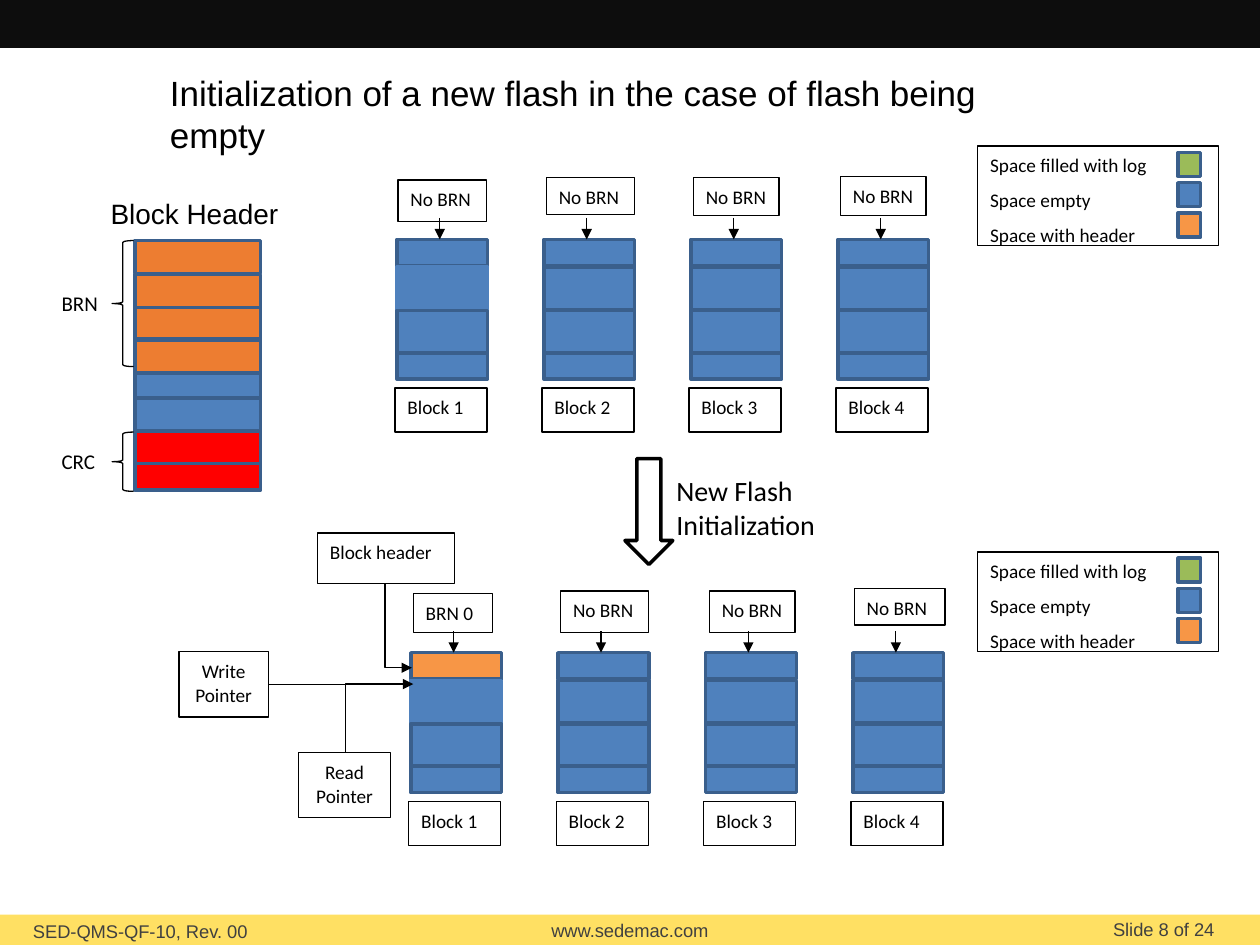
"""Builds the flash initialization slide on a grid of 100 columns by 75 rows."""
from typing import NamedTuple

from lxml.etree import SubElement
from pptx import Presentation
from pptx.dml.color import RGBColor
from pptx.enum.shapes import MSO_CONNECTOR as Connector, MSO_SHAPE as Preset
from pptx.enum.text import MSO_ANCHOR as Anchor, PP_ALIGN as Align
from pptx.oxml.ns import qn
from pptx.util import Inches, Pt

WIDTH, HEIGHT = Inches(10), Inches(7.5)
COLUMN, ROW = WIDTH / 100, HEIGHT / 75
COLORS = {
    "black": "000000", "white": "FFFFFF", "bar": "0D0D0D", "footer": "FFE063",
    "footer_text": "404040", "empty": "4F81BD", "edge": "3A5F8C",
    "header": "F79646", "log": "9BBB59", "brn": "ED7D31", "crc": "FF0000",
}


class Box(NamedTuple):
    """A rectangle in columns and rows."""
    left: float
    top: float
    width: float
    height: float

    def inside(self, left, top, width, height):
        """Return a box placed relative to this one."""
        return Box(self.left + left, self.top + top, width, height)

    def lengths(self):
        """Return the box in slide units."""
        return (round(self.left * COLUMN), round(self.top * ROW),
                round(self.width * COLUMN), round(self.height * ROW))


def color(name):
    """Return a named colour."""
    return RGBColor.from_string(COLORS[name])


def add_text(shape, lines, size=11, font="Calibri", ink="black", align=Align.LEFT,
             spacing=None, after=0, inset=True, wrap=True, anchor=Anchor.TOP):
    """Write one paragraph per line into a shape."""
    frame = shape.text_frame
    frame.word_wrap, frame.vertical_anchor = wrap, anchor
    frame.margin_left = frame.margin_right = Inches(0.1 if inset else 0)
    frame.margin_top = frame.margin_bottom = Inches(0.05 if inset else 0)
    for index, line in enumerate(lines):
        paragraph = frame.add_paragraph() if index else frame.paragraphs[0]
        paragraph.alignment, paragraph.line_spacing = align, spacing
        paragraph.space_after = Pt(after)
        run = paragraph.add_run()
        run.text = line
        run.font.size, run.font.name = Pt(size), font
        run.font.color.rgb = color(ink)


def add_label(slide, box, text, **style):
    """Add a text box."""
    add_text(slide.shapes.add_textbox(*box.lengths()), [text], **style)


def add_preset(slide, box, fill=None, line=None, weight=2, preset=Preset.RECTANGLE):
    """Add a preset shape with its fill and outline."""
    shape = slide.shapes.add_shape(preset, *box.lengths())
    shape.shadow.inherit = False
    if fill:
        shape.fill.solid()
        shape.fill.fore_color.rgb = color(fill)
    else:
        shape.fill.background()
    if line:
        shape.line.color.rgb = color(line)
        shape.line.width = Pt(weight)
    else:
        shape.line.fill.background()
    return shape


def add_card(slide, box, *lines, align=Align.LEFT, after=8):
    """Add a white card with a thin black outline."""
    card = add_preset(slide, box, "white", "black", 0.75)
    add_text(card, lines, align=align, spacing=1.06, after=after)
    return card


def add_line(slide, start, end, arrow=True, bend=None):
    """Add a straight or bent connector between two grid points."""
    kind = Connector.STRAIGHT if bend is None else Connector.ELBOW
    points = [round(value * unit) for point in (start, end)
              for value, unit in zip(point, (COLUMN, ROW))]
    connector = slide.shapes.add_connector(kind, *points)
    connector.line.color.rgb = color("black")
    connector.line.width = Pt(0.75)
    properties = connector._element.spPr
    if arrow:
        SubElement(connector.line._get_or_add_ln(), qn("a:tailEnd"), type="triangle")
    SubElement(properties, qn("a:effectLst"))
    if bend is not None:
        guides = properties.find(qn("a:prstGeom")).get_or_add_avLst()
        SubElement(guides, qn("a:gd"), name="adj1", fmla=f"val {bend}")
    return connector


def draw_frame(slide, box):
    """Draw the top bar and the footer."""
    add_preset(slide, box.inside(0, 0, box.width, 3.8), "bar")
    style = dict(size=10.5, font="Arial", ink="footer_text")
    footer = add_preset(slide, box.inside(0, 72.6, box.width, 2.5), "footer")
    add_text(footer, ["www.sedemac.com"], align=Align.CENTER, anchor=Anchor.MIDDLE, **style)
    add_label(slide, box.inside(0, 73, 22.3, 2.1), "SED-QMS-QF-10, Rev. 00",
              align=Align.CENTER, inset=False, wrap=False, **style)
    add_label(slide, box.inside(71.7, 72.9, 24.7, 2.1), "Slide 8 of 24",
              align=Align.RIGHT, inset=False, wrap=False, **style)


def draw_bank(slide, box, tags, first_fill="empty"):
    """Draw four blocks with a tag above and a name below each."""
    pitch = (box.width - 7.2) / 3
    parts = ((0, 2.1), (2.2, 3.4), (5.65, 3.4), (9, 2.1))
    for index, (text, *place) in enumerate(tags):
        left = index * pitch
        add_card(slide, box.inside(left + place[0], *place[1:]), text)
        for part, (top, height) in enumerate(parts):
            fill = first_fill if (index, part) == (0, 0) else "empty"
            line = "empty" if (index, part) == (0, 1) else "edge"
            add_preset(slide, box.inside(left, top, 7.2, height), fill, line)
        add_card(slide, box.inside(left - 0.15, 11.8, 7.3, 3.5), f"Block {index + 1}")
        center = box.left + left + 3.4
        add_line(slide, (center, box.top - 1.7), (center, box.top))


def draw_legend(slide, box):
    """Draw the key of space colours."""
    add_card(slide, box, "Space filled with log", "Space empty", "Space with header", after=6)
    for index, fill in enumerate(("log", "empty", "header")):
        add_preset(slide, box.inside(15.9, 0.5 + 2.4 * index, 1.8, 1.9), fill, "edge")


def draw_block_header(slide, box):
    """Draw the block header layout with its braces."""
    add_label(slide, box.inside(3.9, 0, 17.2, 3.7), "Block Header", size=16, font="Arial")
    fills = ["brn"] * 4 + ["empty"] * 2 + ["crc"] * 2
    tops = (4, 6.7, 9.2, 11.9, 13.9, 16.5, 19.1, 21.2)
    for fill, top in reversed(list(zip(fills, tops))):
        add_preset(slide, box.inside(6.8, top, 10, 2.6), fill, "edge")
    for text, top, height, text_top in (("BRN", 4, 10, 7.5), ("CRC", 19.2, 4.7, 20)):
        add_preset(slide, box.inside(5, top, 1.7, height), None, "black", 0.75,
                   Preset.LEFT_BRACE)
        add_label(slide, box.inside(0, text_top, 5, 3), text, size=12)


def draw_transition(slide, box):
    """Draw the down arrow and its caption."""
    add_preset(slide, box.inside(0, 0, 3.8, box.height), "white", "black",
               preset=Preset.DOWN_ARROW)
    add_label(slide, box.inside(3.1, 0.7, 14, 5.7), "New Flash Initialization", size=16)


def draw_pointers(slide, box):
    """Draw the cards that point into the first block."""
    add_card(slide, box.inside(11, 0, 10.9, 4), "Block header")
    add_card(slide, box.inside(9.5, 17.4, 7.3, 5.2), "Read Pointer", align=Align.CENTER)
    write = add_card(slide, box.inside(0, 9.4, 7.1, 5.2), "Write Pointer", align=Align.CENTER)
    left, top = box.left, box.top
    add_line(slide, (left + 16.4, top + 4), (left + 18.5, top + 10.7), bend=-2200)
    add_line(slide, (left + 13.2, top + 17.4), (left + 18.6, top + 12), bend=800)
    joint = add_line(slide, (left + 7.1, top + 12), (left + 13.2, top + 12), arrow=False)
    joint.begin_connect(write, 3)


def main():
    """Build and save the slide."""
    presentation = Presentation()
    presentation.slide_width, presentation.slide_height = WIDTH, HEIGHT
    slide = presentation.slides.add_slide(presentation.slide_layouts[6])
    draw_frame(slide, Box(0, 0, 100, 75))
    add_label(slide, Box(12.5, 5.2, 74.3, 7.2),
              "Initialization of a new flash in the case of flash being empty",
              size=20, font="Arial")
    draw_bank(slide, Box(31.5, 19, 42.2, 11.1), [
        ("No BRN", 0.1, -4.7, 7, 3.3), ("No BRN", 0.2, -4.9, 7, 2.9),
        ("No BRN", 0.2, -4.9, 6.8, 3), ("No BRN", 0.2, -5, 6.8, 3.1)])
    draw_bank(slide, Box(32.6, 51.8, 42.3, 11.1), [
        ("BRN 0", 0.2, -4.7, 6.3, 3.1), ("No BRN", 0.2, -4.9, 7, 3.3),
        ("No BRN", 0.3, -4.9, 6.8, 3.3), ("No BRN", 0.1, -5.1, 7.2, 2.9)], "header")
    draw_pointers(slide, Box(14.2, 42.3, 25.6, 22.6))
    draw_transition(slide, Box(49.6, 36.4, 17.1, 8.4))
    for top in (11.6, 43.8):
        draw_legend(slide, Box(77.6, top, 19.1, 7.9))
    draw_block_header(slide, Box(3.9, 15.1, 21.1, 23.8))
    presentation.save("out.pptx")


if __name__ == "__main__":
    main()
